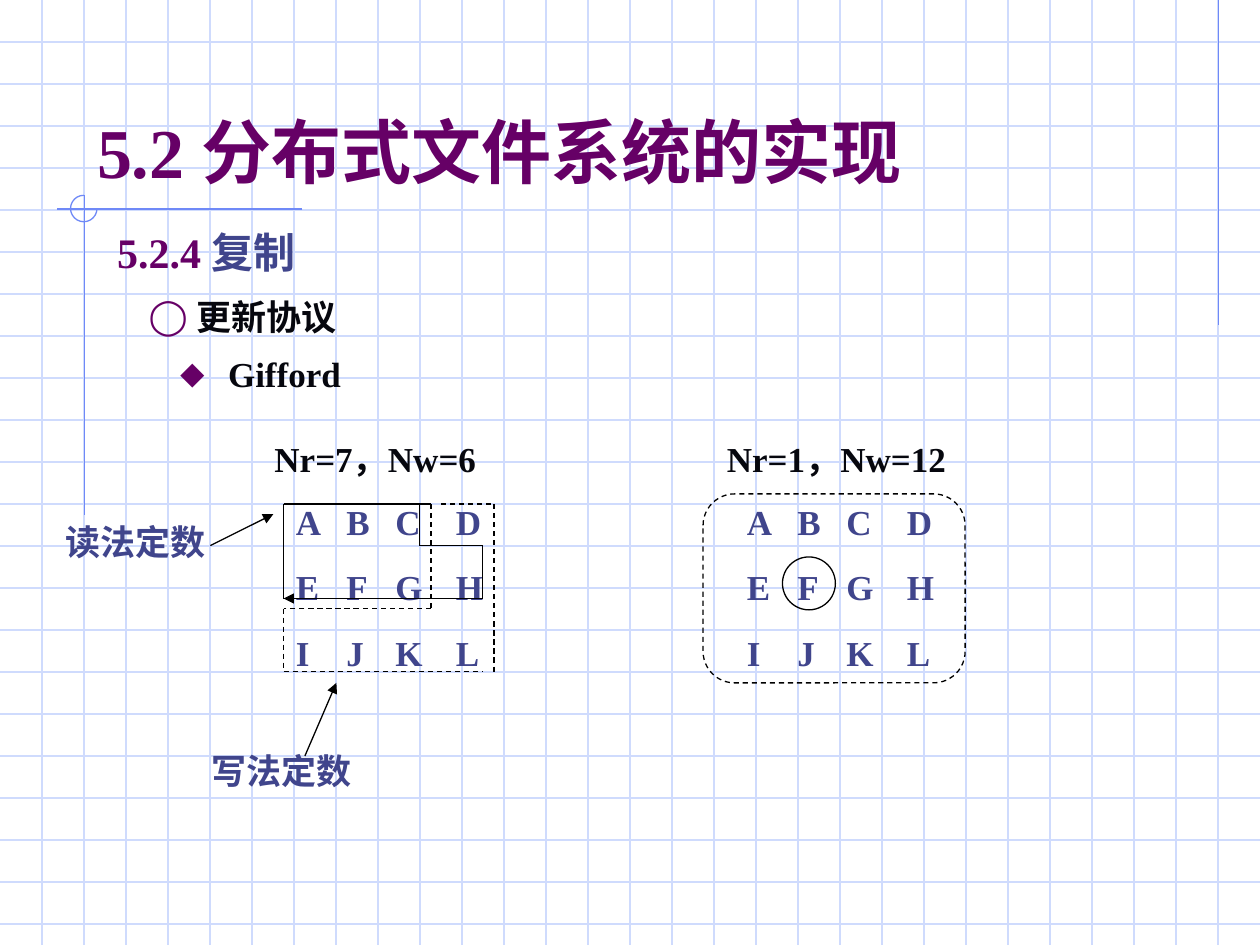
from itertools import pairwise

from lxml.etree import SubElement
from pptx import Presentation
from pptx.dml.color import RGBColor
from pptx.enum.dml import MSO_LINE
from pptx.enum.shapes import MSO_CONNECTOR, MSO_SHAPE
from pptx.enum.text import MSO_ANCHOR, MSO_AUTO_SIZE, PP_ALIGN
from pptx.oxml.ns import qn
from pptx.util import Inches, Pt

GRID_BLUE = RGBColor(0xCF, 0xDB, 0xFD)
ACCENT_BLUE = RGBColor(0x6F, 0x89, 0xF7)
PURPLE = RGBColor(0x66, 0x00, 0x66)
INDIGO = RGBColor(0x40, 0x45, 0x8C)
INK = RGBColor(0x06, 0x07, 0x0E)
BLACK = RGBColor(0, 0, 0)

SERIF, SANS, CJK = "Times New Roman", "Montserrat", "Noto Sans CJK SC"

REPLICA_ROWS = ["ABCD", "EFGH", "IJKL"]
REPLICA_TABS = [0.4, 0.79, 1.27]


def add_line(slide, start, end, color=BLACK, dashed=False, arrow=False):
    line = slide.shapes.add_connector(
        MSO_CONNECTOR.STRAIGHT, *map(Inches, start + end))
    line.line.color.rgb = color
    line.line.width = Pt(0.75)
    if dashed:
        line.line.dash_style = MSO_LINE.DASH
    if arrow:
        SubElement(line.line._get_or_add_ln(), qn("a:tailEnd"), type="triangle")
    SubElement(line._element.spPr, qn("a:effectLst"))


def add_path(slide, points, dashed=False, arrow=False):
    """Join the points with lines; an arrow goes on the last one."""
    for start, end in pairwise(points):
        add_line(slide, start, end, dashed=dashed,
                 arrow=arrow and end == points[-1])


def add_outline(slide, kind, box, color=BLACK, dashed=False):
    outline = slide.shapes.add_shape(kind, *map(Inches, box))
    outline.shadow.inherit = False
    outline.fill.background()
    outline.line.color.rgb = color
    outline.line.width = Pt(0.75)
    if dashed:
        outline.line.dash_style = MSO_LINE.DASH
    return outline


def format_run(run, size, color, font=SERIF, east_asian=SANS):
    run.font.size = Pt(size)
    run.font.bold = True
    run.font.name = font
    run.font.color.rgb = color
    SubElement(run._r.get_or_add_rPr(), qn("a:ea"), typeface=east_asian)


def add_run(paragraph, text, *style):
    run = paragraph.add_run()
    run.text = text
    format_run(run, *style)


def set_bullet(paragraph, char, left):
    props = paragraph._p.get_or_add_pPr()
    hanging = Inches(0.38) if char else 0
    props.set("marL", str(Inches(left) + hanging))
    props.set("indent", str(-hanging))
    if char:
        color = SubElement(props, qn("a:buClr"))
        SubElement(color, qn("a:srgbClr"), val=str(PURPLE))
        SubElement(props, qn("a:buChar"), char=char)
    else:
        SubElement(props, qn("a:buNone"))


def set_tabs(paragraph, positions):
    tabs = SubElement(paragraph._p.get_or_add_pPr(), qn("a:tabLst"))
    for position in positions:
        SubElement(tabs, qn("a:tab"), pos=str(Inches(position)), algn="l")


def place(placeholder, box, anchor):
    """Move a placeholder and bring it in front of the grid."""
    placeholder.left, placeholder.top, placeholder.width, placeholder.height = (
        map(Inches, box))
    placeholder.text_frame.auto_size = MSO_AUTO_SIZE.NONE
    placeholder.text_frame.vertical_anchor = anchor
    placeholder.element.getparent().append(placeholder.element)
    return placeholder.text_frame


def add_label(slide, text, box, color, font=SERIF):
    frame = slide.shapes.add_textbox(*map(Inches, box)).text_frame
    frame.word_wrap = True
    frame.text = text
    format_run(frame.paragraphs[0].runs[0], 20, color, font)


def add_replicas(slide, left):
    box = slide.shapes.add_textbox(
        Inches(left), Inches(3.92), Inches(2.17), Inches(1.45))
    frame = box.text_frame
    frame.word_wrap = True
    frame.text = "\n".join("\t".join(row) for row in REPLICA_ROWS)
    for index, paragraph in enumerate(frame.paragraphs):
        set_tabs(paragraph, REPLICA_TABS)
        if index:
            paragraph.space_before = Pt(13.5)
        format_run(paragraph.runs[0], 20, INDIGO)


def add_background(slide):
    # Graph paper with lines every third of an inch
    for step in range(1, 23):
        add_line(slide, (0, step / 3), (10, step / 3), GRID_BLUE)
    for step in range(1, 30):
        add_line(slide, (step / 3, 0), (step / 3, 7.5), GRID_BLUE)
    # Accent lines and the open circle where they cross
    add_line(slide, (9.67, 0), (9.67, 2.58), ACCENT_BLUE)
    add_line(slide, (2.4, 1.66), (0.45, 1.66), ACCENT_BLUE)
    add_line(slide, (0.67, 1.55), (0.67, 4.09), ACCENT_BLUE)
    circle = add_outline(slide, MSO_SHAPE.ARC, (0.56, 1.55, 0.21, 0.21),
                         ACCENT_BLUE)
    circle.adjustments[0] = 0
    circle.adjustments[1] = 270 * 0.6  # 60000 units a degree, over 100000


def add_headings(slide):
    title, outline = slide.placeholders
    heading = place(title, (0.67, 0.33, 8.5, 1.25),
                    MSO_ANCHOR.BOTTOM).paragraphs[0]
    heading.alignment = PP_ALIGN.LEFT
    add_run(heading, "5.2 ", 40, PURPLE, SERIF, CJK)
    add_run(heading, "分布式文件系统的实现", 40, PURPLE, CJK, CJK)

    frame = place(outline, (0.83, 1.75, 8.75, 1.6), MSO_ANCHOR.TOP)
    section = frame.paragraphs[0]
    set_bullet(section, None, 0)
    section.space_before = Pt(0)
    add_run(section, "5.2.4 ", 24, PURPLE)
    add_run(section, "复制", 24, INDIGO, SANS)
    for text, char, left, gap in [("更新协议", "◯", 0.25, 10.5),
                                  ("Gifford", "⬥", 0.5, 8.5)]:
        item = frame.add_paragraph()
        set_bullet(item, char, left)
        item.space_before = Pt(gap)
        add_run(item, text, 20, INK)


def add_split_quorum(slide):
    add_replicas(slide, 2.25)
    add_label(slide, "Nr=7，Nw=6", (2.08, 3.42, 2.33, 0.44), INK)
    add_label(slide, "读法定数", (0.42, 4.08, 2.08, 0.44), INDIGO, SANS)
    add_label(slide, "写法定数", (1.58, 5.9, 2.08, 0.44), INDIGO, SANS)
    add_line(slide, (1.67, 4.33), (2.17, 4.08), arrow=True)
    add_line(slide, (2.42, 6), (2.67, 5.42), arrow=True)
    # Write quorum, dashed
    add_path(slide, [(3.5, 4), (3.92, 4), (3.92, 5.33)], dashed=True)
    add_path(slide, [(3.42, 4), (3.42, 4.83), (2.25, 4.83), (2.25, 5.33),
                     (3.83, 5.33)], dashed=True)
    # Read quorum, solid
    add_path(slide, [(2.25, 4.75), (2.25, 4), (3.42, 4)])
    add_path(slide, [(3.33, 4), (3.33, 4.33), (3.83, 4.33), (3.83, 4.75),
                     (2.25, 4.75)], arrow=True)


def add_full_quorum(slide):
    add_replicas(slide, 5.83)
    add_label(slide, "Nr=1，Nw=12", (5.67, 3.42, 2.33, 0.44), INK)
    add_outline(slide, MSO_SHAPE.ROUNDED_RECTANGLE, (5.58, 3.92, 2.08, 1.5),
                dashed=True)
    add_outline(slide, MSO_SHAPE.OVAL, (6.21, 4.42, 0.42, 0.42))


def main():
    deck = Presentation()
    deck.slide_width, deck.slide_height = Inches(10), Inches(7.5)
    slide = deck.slides.add_slide(deck.slide_layouts[1])
    add_background(slide)
    add_headings(slide)
    add_split_quorum(slide)
    add_full_quorum(slide)
    deck.save("out.pptx")


if __name__ == "__main__":
    main()
